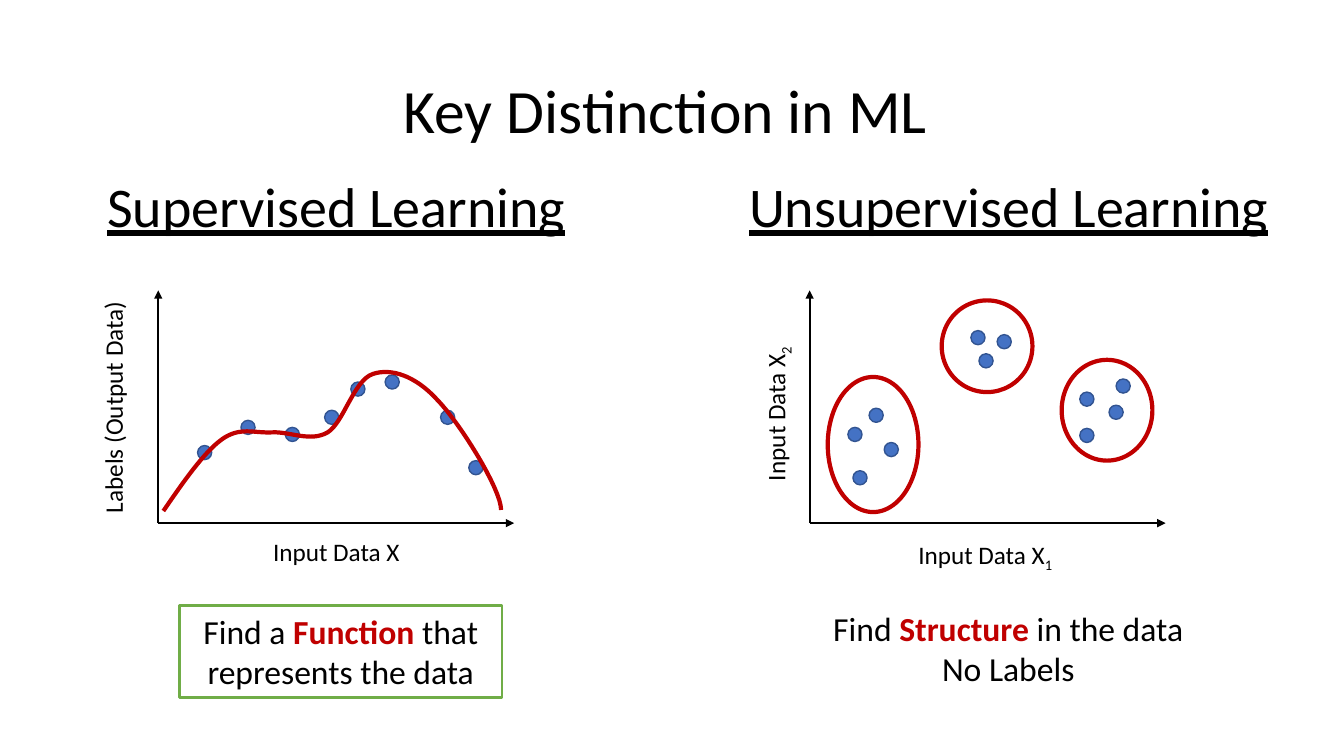
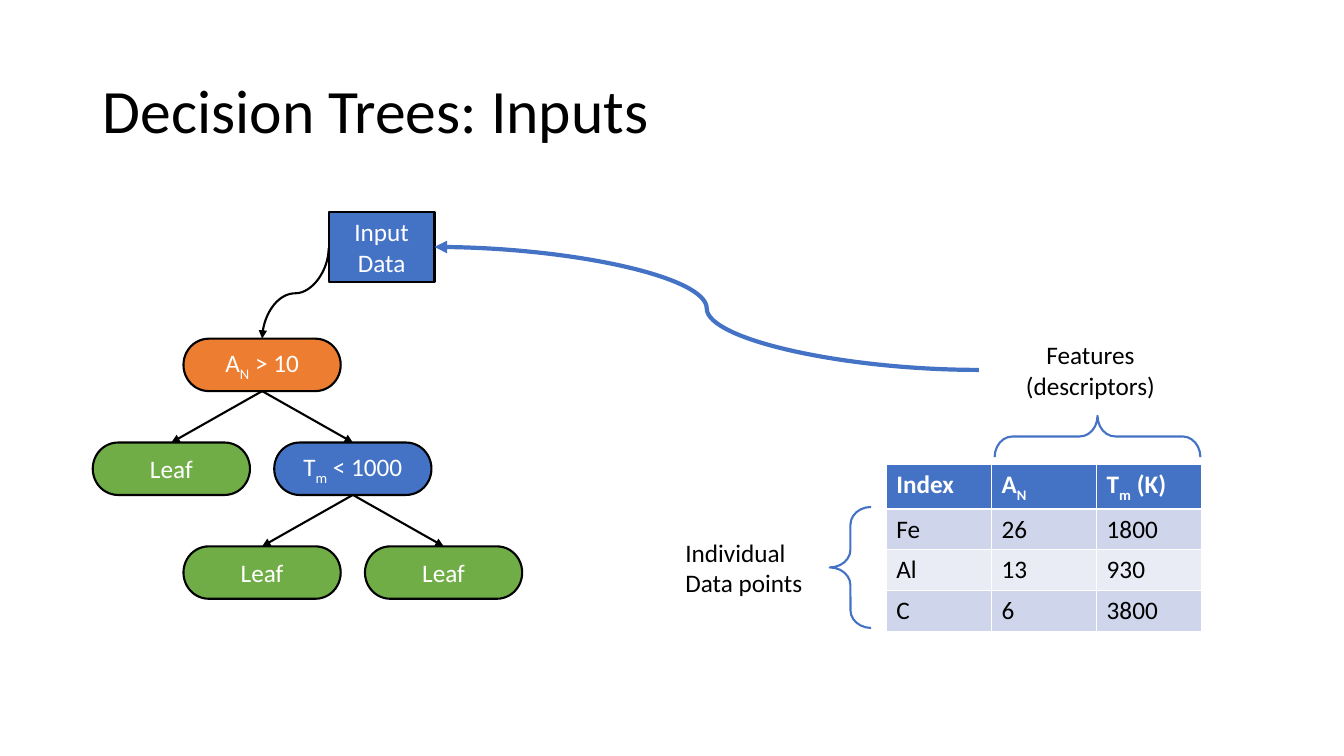
from lxml import etree
from pptx import Presentation
from pptx.dml.color import RGBColor
from pptx.enum import shapes, text
from pptx.oxml import ns
from pptx.util import Inches, Pt

BLACK, WHITE, RED = "000000", "FFFFFF", "C00000"
BLUE, NAVY, ORANGE, GREEN = "4472C4", "325491", "ED7D31", "70AD47"
BAND_DARK, BAND_LIGHT = "CFD5EA", "E9EBF5"
LEFT, CENTER = text.PP_ALIGN.LEFT, text.PP_ALIGN.CENTER
TOP, MIDDLE = text.MSO_ANCHOR.TOP, text.MSO_ANCHOR.MIDDLE
PRESET, LINK = shapes.MSO_SHAPE, shapes.MSO_CONNECTOR


def rgb(value):
    return RGBColor.from_string(value)


def sub(letters):
    return letters, "sub"


def strong(words):
    return words, "strong"


def bezier(start, control_a, control_b, end, steps=16):
    for step in range(1, steps + 1):
        t = step / steps
        weights = ((1 - t) ** 3, 3 * t * (1 - t) ** 2, 3 * t * t * (1 - t), t ** 3)
        corners = (start, control_a, control_b, end)
        yield tuple(sum(w * c[axis] for w, c in zip(weights, corners)) for axis in (0, 1))


class Deck:
    font = "Calibri"

    def __init__(self):
        self.presentation = Presentation()
        self.presentation.slide_width = Inches(13.33)
        self.presentation.slide_height = Inches(7.5)
        self.slide = None

    def new_slide(self, heading, align):
        layout = self.presentation.slide_layouts[5]
        self.slide = self.presentation.slides.add_slide(layout)
        title = self.slide.shapes.title
        title.left, title.top, title.width, title.height = map(Inches, (0.92, 0.4, 11.5, 1.45))
        self.typeset(title.text_frame, [[heading]], 44, align=align, anchor=MIDDLE, spacing=0.9)

    def typeset(self, frame, paragraphs, size=18, color=BLACK, align=LEFT, anchor=TOP,
                spacing=None, underline=None, bold=False):
        frame.word_wrap = True
        frame.vertical_anchor = anchor
        for index, pieces in enumerate(paragraphs):
            paragraph = frame.add_paragraph() if index else frame.paragraphs[0]
            paragraph.alignment = align
            if spacing:
                paragraph.line_spacing = spacing
            for piece in pieces:
                words, role = (piece, "plain") if isinstance(piece, str) else piece
                run = paragraph.add_run()
                run.text = words
                run.font.name = self.font
                run.font.size = Pt(size)
                run.font.bold = bold or role == "strong"
                run.font.underline = underline
                run.font.color.rgb = rgb(RED if role == "strong" else color)
                if role == "sub":
                    run.font._element.set("baseline", "-25000")

    def label(self, box, paragraphs, rotation=0, **style):
        holder = self.slide.shapes.add_textbox(*map(Inches, box))
        holder.rotation = rotation
        self.typeset(holder.text_frame, paragraphs, **style)

    def paint(self, figure, fill, line, width):
        figure.shadow.inherit = False
        if fill:
            figure.fill.solid()
            figure.fill.fore_color.rgb = rgb(fill)
        else:
            figure.fill.background()
        figure.line.color.rgb = rgb(line)
        figure.line.width = Pt(width)

    def shape(self, kind, box, fill=None, line=BLACK, width=1.5, paragraphs=(), **style):
        figure = self.slide.shapes.add_shape(kind, *map(Inches, box))
        self.paint(figure, fill, line, width)
        self.typeset(figure.text_frame, paragraphs, **style)
        return figure

    def dots(self, corners):
        for left, top in corners:
            self.shape(PRESET.OVAL, (left, top, 0.14, 0.14), BLUE, NAVY, 1)

    def brace(self, box, rotation=0):
        figure = self.shape(PRESET.LEFT_BRACE, box, line=BLUE)
        figure.adjustments[0] = 0.43
        figure.rotation = rotation

    def arrow(self, start, end, color=BLACK, width=1.5, kind=LINK.STRAIGHT, rotation=0):
        link = self.slide.shapes.add_connector(kind, *map(Inches, (*start, *end)))
        link.line.color.rgb = rgb(color)
        link.line.width = Pt(width)
        etree.SubElement(link.line._get_or_add_ln(), ns.qn("a:tailEnd"), type="triangle")
        properties = link._element.spPr
        etree.SubElement(properties, ns.qn("a:effectLst"))
        if rotation:
            properties.find(ns.qn("a:xfrm")).set("rot", str(rotation * 60000))

    def axes(self, left):
        origin = (left, 5.19)
        self.arrow(origin, (left + 3.53, 5.19))
        self.arrow(origin, (left, 2.88))

    def curve(self, start, segments):
        points, current = [], start
        for segment in segments:
            points.extend(bezier(current, *segment))
            current = segment[-1]
        builder = self.slide.shapes.build_freeform(*map(Inches, start))
        builder.add_line_segments([tuple(map(Inches, point)) for point in points], close=False)
        self.paint(builder.convert_to_shape(), None, RED, 3)

    def table(self, box, rows):
        grid = self.slide.shapes.add_table(len(rows), len(rows[0]), *map(Inches, box)).table
        for r, row in enumerate(rows):
            header = r == 0
            fill = BLUE if header else BAND_DARK if r % 2 else BAND_LIGHT
            for c, pieces in enumerate(row):
                cell = grid.cell(r, c)
                cell.fill.solid()
                cell.fill.fore_color.rgb = rgb(fill)
                self.typeset(cell.text_frame, [pieces], color=WHITE if header else BLACK,
                             bold=header)


def key_distinction(deck):
    deck.new_slide("Key Distinction in ML ", CENTER)
    for left, heading in ((0, "Supervised Learning"), (6.67, "Unsupervised Learning")):
        deck.label((left, 1.35, 6.67, 1.45), [[heading]], size=40, align=CENTER,
                   anchor=MIDDLE, spacing=0.9, underline=True)

    deck.axes(1.57)
    deck.dots([(1.96, 4.42), (2.83, 4.24), (2.39, 4.17), (3.82, 3.72),
               (3.22, 4.07), (4.37, 4.07), (4.65, 4.57), (3.48, 3.79)])
    deck.label((2.61, 5.27, 1.72, 0.4), [["Input Data X"]])
    deck.label((-0.15, 3.72, 2.54, 0.4), [["Labels (Output Data)"]], rotation=270)
    deck.shape(PRESET.RECTANGLE, (1.78, 6.01, 3.2, 0.91), line=GREEN, width=2,
               paragraphs=[["Find a ", strong("Function "), "that represents the data"]],
               size=24, align=CENTER)
    deck.curve((1.62, 5.07), [
        ((1.82, 4.78), (2.02, 4.49), (2.2, 4.36)),
        ((2.38, 4.23), (2.52, 4.3), (2.7, 4.29)),
        ((2.87, 4.28), (3.08, 4.39), (3.25, 4.29)),
        ((3.41, 4.19), (3.51, 3.77), (3.7, 3.71)),
        ((3.88, 3.65), (4.12, 3.73), (4.33, 3.96)),
        ((4.55, 4.18), (4.97, 4.85), (4.97, 5.06)),
    ])

    deck.axes(8.03)
    deck.label((9.01, 5.3, 2.06, 0.4), [["Input Data X", sub("1")]])
    deck.label((6.88, 3.86, 1.62, 0.4), [["Input Data X", sub("2")]], rotation=270)
    clusters = [
        ((8.21, 3.74, 0.9, 1.34), [(8.46, 4.67), (8.77, 4.39), (8.41, 4.24), (8.62, 4.05)]),
        ((9.34, 2.98, 0.9, 0.91), [(9.71, 3.51), (9.63, 3.28), (9.89, 3.32)]),
        ((10.53, 3.57, 0.9, 1), [(10.71, 4.25), (11, 4.02), (10.71, 3.89), (11.07, 3.76)]),
    ]
    for outline, members in clusters:
        deck.dots(members)
        deck.shape(PRESET.OVAL, outline, line=RED, width=3)
    deck.label((7.86, 5.98, 4.28, 0.91),
               [["Find ", strong("Structure "), "in the data"], ["No Labels"]],
               size=24, align=CENTER)


def decision_trees(deck):
    deck.new_slide("Decision Trees: Inputs", LEFT)
    node_width, node_height, step_x, step_y = 1.56, 0.52, 0.9, 1.03

    def corner(column, row):
        return 0.92 + column * step_x, 3.36 + row * step_y

    nodes = [
        (1, 0, ORANGE, ["A", sub("N"), " > 10"]),
        (2, 1, BLUE, ["T", sub("m"), " < 1000"]),
        (0, 1, GREEN, ["Leaf"]),
        (3, 2, GREEN, ["Leaf"]),
        (1, 2, GREEN, ["Leaf"]),
    ]
    for column, row, fill, pieces in nodes:
        deck.shape(PRESET.FLOWCHART_TERMINATOR, (*corner(column, row), node_width, node_height),
                   fill, paragraphs=[pieces], color=WHITE, align=CENTER, anchor=MIDDLE)
    for column, row in ((1, 0), (2, 1)):
        left, top = corner(column, row)
        middle = left + node_width / 2
        for side in (step_x, -step_x):
            deck.arrow((middle, top + node_height), (middle + side, top + step_y))

    deck.arrow((2.48, 2.58), (3.38, 3.24), kind=LINK.CURVE, rotation=90)
    deck.shape(PRESET.FLOWCHART_PROCESS, (3.26, 2.1, 1.05, 0.7), BLUE,
               paragraphs=[["Input Data"]], color=WHITE, align=CENTER, anchor=MIDDLE)

    deck.table((8.79, 4.61, 3.13, 1.62), [
        [["Index"], ["A", sub("N")], ["T", sub("m"), " (K)"]],
        [["Fe"], ["26"], ["1800"]],
        [["Al"], ["13"], ["930"]],
        [["C"], ["6"], ["3800"]],
    ])
    deck.brace((8.23, 5.03, 0.41, 1.2))
    deck.label((6.7, 5.28, 1.46, 0.71), [["Individual Data points"]])
    deck.brace((10.68, 3.31, 0.41, 2.04), rotation=90)
    deck.label((9.71, 3.32, 2.21, 0.71), [["Features (descriptors)"]], align=CENTER)
    deck.arrow((9.71, 3.67), (4.31, 2.45), BLUE, 3, LINK.CURVE)


def main():
    deck = Deck()
    key_distinction(deck)
    decision_trees(deck)
    deck.presentation.save("out.pptx")


if __name__ == "__main__":
    main()
